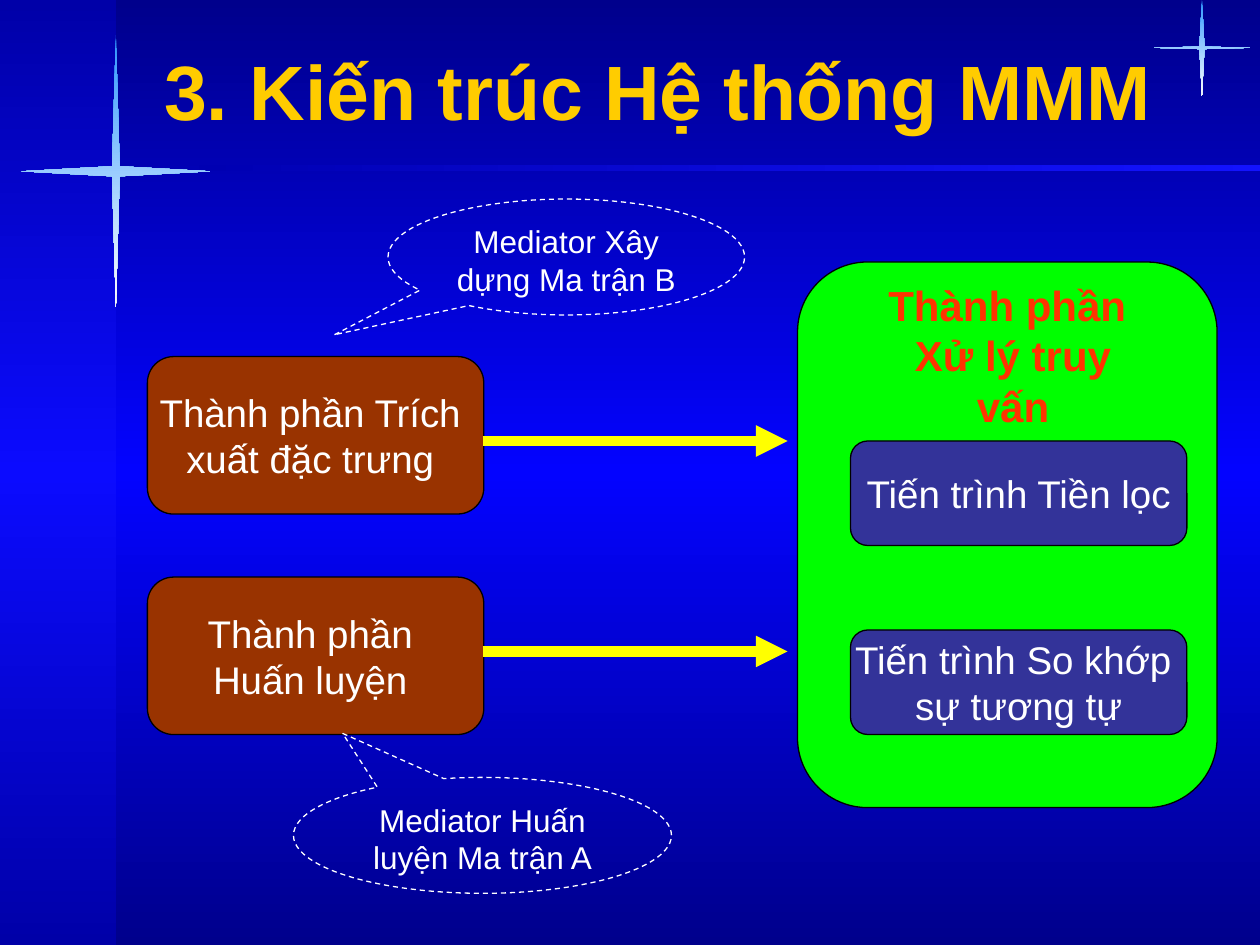
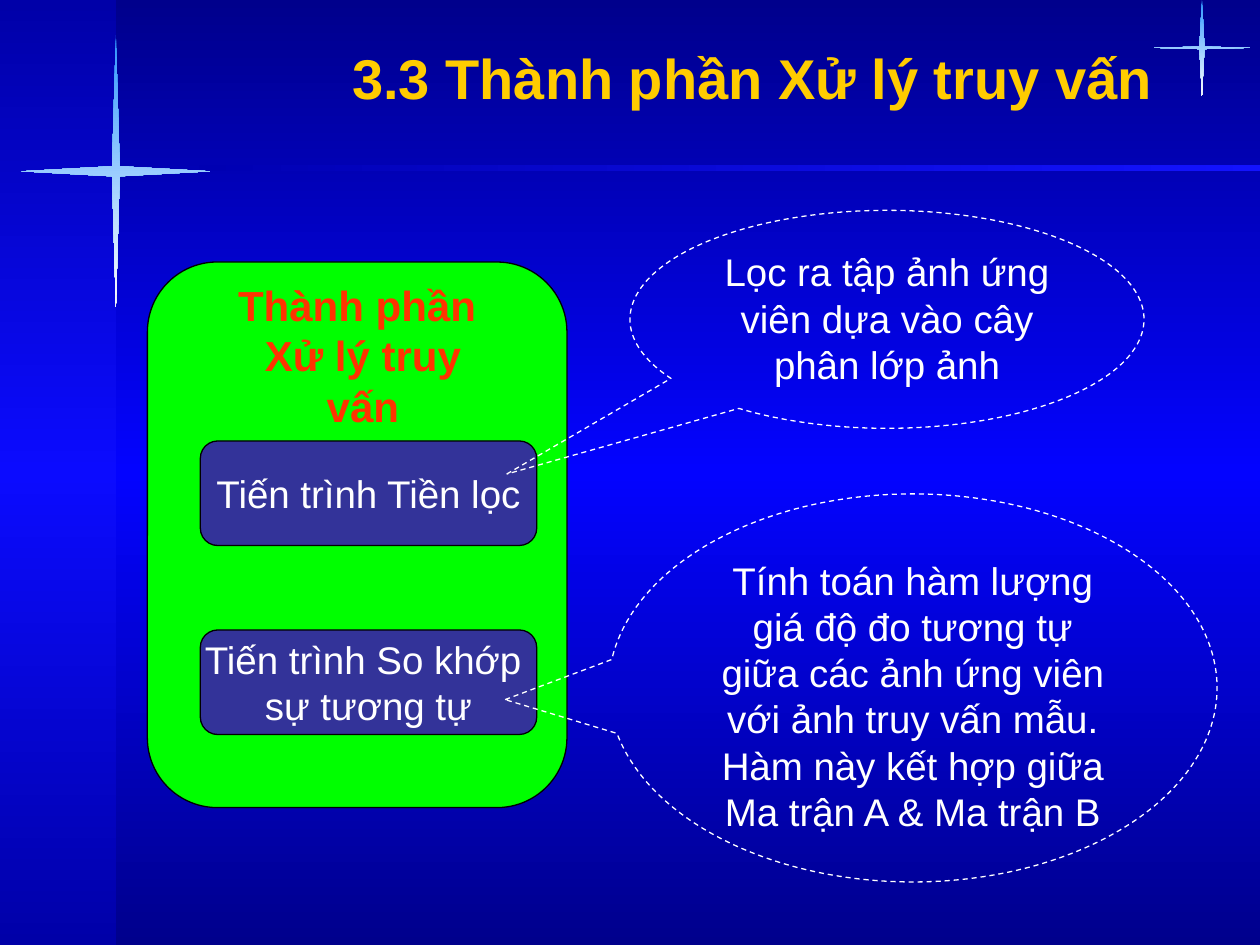
"""Build two slides on the architecture of the MMM system."""
from copy import deepcopy

from lxml.etree import SubElement
from pptx import Presentation
from pptx.dml.color import RGBColor
from pptx.enum.dml import MSO_LINE
from pptx.enum.shapes import MSO_CONNECTOR, MSO_SHAPE
from pptx.enum.text import MSO_ANCHOR, PP_ALIGN
from pptx.oxml.ns import qn
from pptx.util import Inches, Pt

color = RGBColor.from_string
GOLD, WHITE, BLACK, YELLOW = "FFCC00", "FFFFFF", "000000", "FFFF00"
BROWN, GREEN, INDIGO, RED = "993300", "00FF00", "333399", "FF3300"
BACKGROUND = ["00008C", "0303FF", "00008C"]
SIDE_BAND = ["0000A8", "0B0BFF", "0000A8"]
TITLE_RULE = ["1313FF", "0000B2"]
STAR = ["3399FF", "FFFFFF"]
DOWN, LEFTWARD = 270, 180


def paint_gradient(fill, colors, angle):
    fill.gradient()
    fill.gradient_angle = angle
    first = fill.gradient_stops[0]._gs
    for _ in colors[2:]:
        first.addnext(deepcopy(first))
    for index, (stop, value) in enumerate(zip(fill.gradient_stops, colors)):
        stop.position = index / (len(colors) - 1)
        stop.color.rgb = color(value)


def write_text(shape, text, size, value=WHITE, bold=False, align=PP_ALIGN.CENTER,
               anchor=MSO_ANCHOR.TOP, wrap=True):
    frame = shape.text_frame
    frame.text = text
    frame.word_wrap = wrap
    frame.vertical_anchor = anchor
    for paragraph in frame.paragraphs:
        paragraph.alignment = align
        paragraph.font.name = "Arial"
        paragraph.font.size = Pt(size)
        paragraph.font.bold = bold
        paragraph.font.color.rgb = color(value)


bands = [(0, 0, 0.92, 7.5, SIDE_BAND, DOWN), (1.58, 1.31, 8.42, 0.05, TITLE_RULE, LEFTWARD)]
stars = [(0.92, 1.36, 0.75, 1.08, 0.03, 0.04), (9.54, 0.38, 0.38, 0.38, 0.02, 0.01)]
slides = [
    {
        "title": "3. Kiến trúc Hệ thống MMM",
        "title_size": 44,
        "panel_left": 6.33,
        "components": [
            (2.83, "Thành phần Trích \nxuất đặc trưng "),
            (4.58, "Thành phần \nHuấn luyện "),
        ],
        "callouts": [
            (2.33, 6.17, 3, 0.92, -0.37, -0.88, 18, "Mediator Huấn luyện Ma trận A"),
            (3.08, 1.58, 2.83, 0.92, -0.65, 0.67, 18, "Mediator Xây dựng Ma trận B"),
        ],
        "arrow_tops": [3.5, 5.17],
    },
    {
        "title": "3.3 Thành phần Xử lý truy vấn",
        "title_size": 32,
        "panel_left": 1.17,
        "components": [],
        "callouts": [
            (5, 1.67, 4.08, 1.73, -0.74, 0.71, 22,
             "Lọc ra tập ảnh ứng viên dựa vào cây phân lớp ảnh"),
            (4.83, 3.92, 4.83, 3.08, -0.67, 0.03, 22,
             "Tính toán hàm lượng giá độ đo tương tự giữa các ảnh ứng viên "
             "với ảnh truy vấn mẫu. Hàm này kết hợp giữa Ma trận A & Ma trận B"),
        ],
        "arrow_tops": [],
    },
]

presentation = Presentation()
presentation.slide_width = Inches(10)
presentation.slide_height = Inches(7.5)

for content in slides:
    slide = presentation.slides.add_slide(presentation.slide_layouts[6])
    shapes = slide.shapes
    paint_gradient(slide.background.fill, BACKGROUND, DOWN)

    for left, top, width, height, colors, angle in bands:
        band = shapes.add_shape(MSO_SHAPE.RECTANGLE, Inches(left), Inches(top),
                                Inches(width), Inches(height))
        band.shadow.inherit = False
        band.line.fill.background()
        paint_gradient(band.fill, colors, angle)

    for x, y, arm_x, arm_y, waist_x, waist_y in stars:
        offsets = [(-arm_x, 0), (-waist_x, -waist_y), (0, -arm_y), (waist_x, -waist_y),
                   (arm_x, 0), (waist_x, waist_y), (0, arm_y), (-waist_x, waist_y)]
        points = [(Inches(x + dx), Inches(y + dy)) for dx, dy in offsets]
        builder = shapes.build_freeform(*points[0])
        builder.add_line_segments(points[1:], close=True)
        star = builder.convert_to_shape()
        star.shadow.inherit = False
        star.line.fill.background()
        paint_gradient(star.fill, STAR, DOWN)

    title = shapes.add_textbox(Inches(0.42), Inches(0.3), Inches(8.83), Inches(1.03))
    write_text(title, content["title"], content["title_size"], GOLD, True, PP_ALIGN.RIGHT)

    panel_left = content["panel_left"]
    process_left = panel_left + 0.42
    boxes = [(1.17, top, 2.67, 1.25, BROWN, text) for top, text in content["components"]]
    boxes += [
        (panel_left, 2.08, 3.33, 4.33, GREEN, ""),
        (process_left, 3.5, 2.67, 0.83, INDIGO, "Tiến trình Tiền lọc"),
        (process_left, 5, 2.67, 0.83, INDIGO, "Tiến trình So khớp \nsự tương tự"),
    ]
    for left, top, width, height, value, text in boxes:
        box = shapes.add_shape(MSO_SHAPE.ROUNDED_RECTANGLE, Inches(left), Inches(top),
                               Inches(width), Inches(height))
        box.shadow.inherit = False
        box.fill.solid()
        box.fill.fore_color.rgb = color(value)
        box.line.color.rgb = color(BLACK)
        box.line.width = Pt(0.75)
        if text:
            write_text(box, text, 22, anchor=MSO_ANCHOR.MIDDLE, wrap=False)

    panel_title = shapes.add_textbox(Inches(panel_left + 0.5), Inches(2.17),
                                     Inches(2.42), Inches(0.9))
    write_text(panel_title, "Thành phần \nXử lý truy vấn", 24, RED, True, wrap=False)

    for left, top, width, height, tip_x, tip_y, size, text in content["callouts"]:
        callout = shapes.add_shape(MSO_SHAPE.OVAL_CALLOUT, Inches(left), Inches(top),
                                   Inches(width), Inches(height))
        callout.adjustments[0] = tip_x
        callout.adjustments[1] = tip_y
        callout.shadow.inherit = False
        callout.fill.background()
        callout.line.color.rgb = color(WHITE)
        callout.line.width = Pt(0.75)
        callout.line.dash_style = MSO_LINE.DASH
        write_text(callout, text, size)

    for top in content["arrow_tops"]:
        arrow = shapes.add_connector(MSO_CONNECTOR.STRAIGHT, Inches(3.83), Inches(top),
                                     Inches(6.25), Inches(top))
        arrow.line.color.rgb = color(YELLOW)
        arrow.line.width = Pt(6)
        SubElement(arrow.line._get_or_add_ln(), qn("a:tailEnd"), type="triangle")
        SubElement(arrow._element.spPr, qn("a:effectLst"))

presentation.save("out.pptx")
